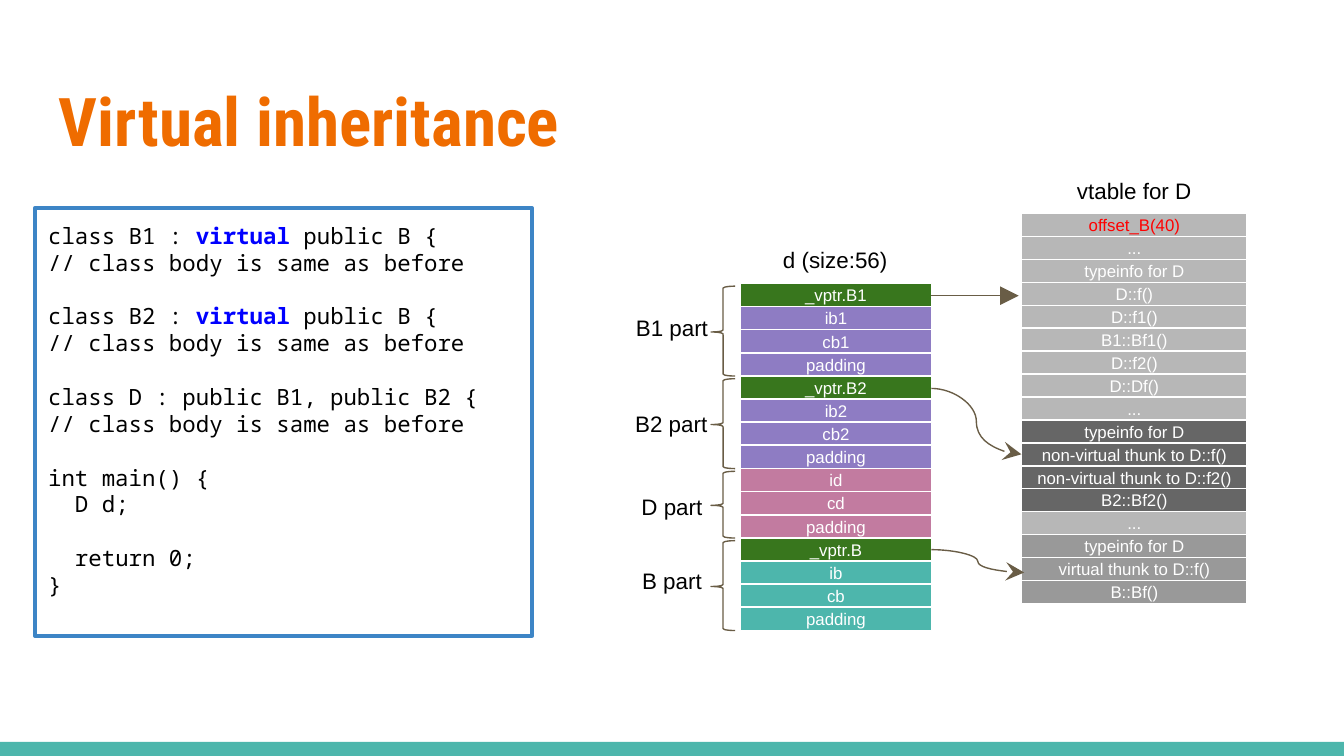
from dataclasses import dataclass

from lxml.etree import SubElement
from pptx import Presentation
from pptx.dml.color import RGBColor
from pptx.enum.shapes import MSO_CONNECTOR, MSO_SHAPE
from pptx.enum.text import MSO_ANCHOR, PP_ALIGN
from pptx.oxml.ns import qn
from pptx.util import Inches, Pt

COLORS = {
    "teal": "4DB6AC", "orange": "EF6C00", "frame": "3D85C6", "keyword": "0000FF",
    "black": "000000", "white": "FFFFFF", "red": "FF0000", "brown": "695D46",
    "pointer": "38761D", "purple": "8E7CC3", "pink": "C27BA0",
    "light": "B7B7B7", "dark": "666666", "medium": "999999",
}


@dataclass
class Style:
    size: float
    font: str
    color: str
    bold: bool = False


@dataclass
class Part:
    name: str
    label_left: float
    label_top: float
    label_width: float
    label_height: float
    fill: str
    fields: list[str]


@dataclass
class Section:
    fill: str
    entries: list[str]


@dataclass
class Arrow:
    kind: MSO_CONNECTOR
    start: float
    end_x: float
    end_y: float
    head: str


@dataclass
class CodeLine:
    text: str
    gap: bool = False
    indent: float = 0


TITLE = Style(36, "Roboto Condensed", "orange", True)
LABEL = Style(12, "Arial", "black")
CELL = Style(9, "Arial", "white")
OFFSET = Style(9, "Arial", "red")
CODE = Style(12, "Noto Sans Mono", "black")
KEYWORD = Style(12, "Noto Sans Mono", "keyword", True)

ROW = 0.17
OBJECT_LEFT, OBJECT_TOP, OBJECT_WIDTH = 5.51, 2.11, 1.42
OBJECT_STEP = (4.52 - OBJECT_TOP) / 14
TABLE_LEFT, TABLE_TOP, TABLE_WIDTH = 7.6, 1.59, 1.68
TABLE_STEP = (4.32 - TABLE_TOP) / 16

PARTS = [
    Part("B1 part", 4.53, 2.24, 0.94, 0.36, "purple", ["_vptr.B1", "ib1", "cb1", "padding"]),
    Part("B2 part", 4.46, 2.95, 1.07, 0.36, "purple", ["_vptr.B2", "ib2", "cb2", "padding"]),
    Part("D part", 4.56, 3.57, 0.88, 0.28, "pink", ["id", "cd", "padding"]),
    Part("B part", 4.56, 4.12, 0.88, 0.28, "teal", ["_vptr.B", "ib", "cb", "padding"]),
]
SECTIONS = [
    Section("light", ["offset_B(40)", "...", "typeinfo for D", "D::f()", "D::f1()",
                      "B1::Bf1()", "D::f2()", "D::Df()", "..."]),
    Section("dark", ["typeinfo for D", "non-virtual thunk to D::f()",
                     "non-virtual thunk to D::f2()", "B2::Bf2()"]),
    Section("light", ["..."]),
    Section("medium", ["typeinfo for D", "virtual thunk to D::f()", "B::Bf()"]),
]
ARROWS = [
    Arrow(MSO_CONNECTOR.STRAIGHT, 2.2, 7.58, 2.2, "triangle"),
    Arrow(MSO_CONNECTOR.CURVE, 2.89, 7.6, 3.38, "stealth"),
    Arrow(MSO_CONNECTOR.CURVE, 4.09, 7.62, 4.26, "stealth"),
]
SAME_BODY = "// class body is same as before"
CODE_LINES = [
    CodeLine("class B1 : virtual public B {"),
    CodeLine(SAME_BODY),
    CodeLine("class B2 : virtual public B {", gap=True),
    CodeLine(SAME_BODY),
    CodeLine("class D : public B1, public B2 {", gap=True),
    CodeLine(SAME_BODY),
    CodeLine("int main() {", gap=True),
    CodeLine("D d;", indent=0.2),
    CodeLine("return 0;", gap=True, indent=0.2),
    CodeLine("}"),
]


def color(name: str) -> RGBColor:
    return RGBColor.from_string(COLORS[name])


def add_span(para, text: str, style: Style) -> None:
    span = para.add_run()
    span.text = text
    span.font.size = Pt(style.size)
    span.font.name = style.font
    span.font.bold = style.bold
    span.font.color.rgb = color(style.color)


def prepare_frame(box, anchor=MSO_ANCHOR.TOP):
    frame = box.text_frame
    frame.word_wrap = True
    frame.vertical_anchor = anchor
    frame.margin_left = frame.margin_right = Inches(0.1)
    frame.margin_top = frame.margin_bottom = Inches(0.1)
    return frame


def add_text(page, left: float, top: float, width: float, height: float,
             text: str, style: Style, align=PP_ALIGN.CENTER) -> None:
    box = page.shapes.add_textbox(Inches(left), Inches(top), Inches(width), Inches(height))
    para = prepare_frame(box).paragraphs[0]
    para.alignment = align
    add_span(para, text, style)


def add_box(page, left: float, top: float, width: float, height: float,
            fill: str | None = None, line: str | None = None,
            weight: float = 0.75, kind=MSO_SHAPE.RECTANGLE):
    box = page.shapes.add_shape(kind, Inches(left), Inches(top), Inches(width), Inches(height))
    box.shadow.inherit = False
    if fill:
        box.fill.solid()
        box.fill.fore_color.rgb = color(fill)
    else:
        box.fill.background()
    if line:
        box.line.color.rgb = color(line)
        box.line.width = Pt(weight)
    else:
        box.line.fill.background()
    return box


def add_cell(page, left: float, top: float, width: float, text: str, fill: str) -> None:
    box = add_box(page, left, top, width, ROW, fill, "white")
    para = prepare_frame(box, MSO_ANCHOR.MIDDLE).paragraphs[0]
    para.alignment = PP_ALIGN.CENTER
    add_span(para, text, OFFSET if text.startswith("offset") else CELL)


def add_code(page) -> None:
    frame = prepare_frame(add_box(page, 0.26, 1.55, 3.7, 3.18, line="frame", weight=2.25))
    for index, line in enumerate(CODE_LINES):
        para = frame.add_paragraph() if index else frame.paragraphs[0]
        para.alignment = PP_ALIGN.LEFT
        para.space_before = Pt(14.4 if line.gap else 0)
        para._p.get_or_add_pPr().set("marL", str(Inches(line.indent)))
        before, word, after = line.text.partition("virtual")
        for text, style in ((before, CODE), (word, KEYWORD), (after, CODE)):
            if text:
                add_span(para, text, style)


def add_object(page) -> None:
    top = OBJECT_TOP
    for part in PARTS:
        height = len(part.fields) * OBJECT_STEP
        for index, field in enumerate(part.fields):
            fill = "pointer" if field.startswith("_vptr") else part.fill
            add_cell(page, OBJECT_LEFT, top + index * OBJECT_STEP, OBJECT_WIDTH, field, fill)
        add_text(page, part.label_left, part.label_top, part.label_width, part.label_height,
                 part.name, LABEL)
        brace = add_box(page, 5.29, top + 0.02, 0.18, height - 0.02,
                        line="brown", kind=MSO_SHAPE.LEFT_BRACE)
        brace.adjustments[0] = 0.08
        brace.adjustments[1] = 0.51
        top += height


def add_vtable(page) -> None:
    entries = [(entry, section.fill) for section in SECTIONS for entry in section.entries]
    for index, (entry, fill) in enumerate(entries):
        add_cell(page, TABLE_LEFT, TABLE_TOP + index * TABLE_STEP, TABLE_WIDTH, entry, fill)


def add_arrow(page, arrow: Arrow) -> None:
    connector = page.shapes.add_connector(
        arrow.kind, Inches(OBJECT_LEFT + OBJECT_WIDTH), Inches(arrow.start),
        Inches(arrow.end_x), Inches(arrow.end_y))
    connector.line.color.rgb = color("brown")
    connector.line.width = Pt(0.75)
    tail = SubElement(connector.line._get_or_add_ln(), qn("a:tailEnd"))
    for name, value in (("type", arrow.head), ("w", "lg"), ("len", "lg")):
        tail.set(name, value)
    SubElement(connector._element.spPr, qn("a:effectLst"))


def main() -> None:
    deck = Presentation()
    deck.slide_width = Inches(10)
    deck.slide_height = Inches(10 * 9 / 16)
    page = deck.slides.add_slide(deck.slide_layouts[6])
    add_box(page, 0, 5.52, 10, 0.11, "teal")
    add_text(page, 0.34, 0.49, 9.32, 0.77, "Virtual inheritance", TITLE, PP_ALIGN.LEFT)
    add_code(page)
    add_text(page, 5.68, 1.73, 1.07, 0.36, "d (size:56)", LABEL)
    add_object(page)
    add_text(page, 7.51, 1.22, 1.86, 0.36, "vtable for D", LABEL)
    add_vtable(page)
    for arrow in ARROWS:
        add_arrow(page, arrow)
    deck.save("out.pptx")


if __name__ == "__main__":
    main()
